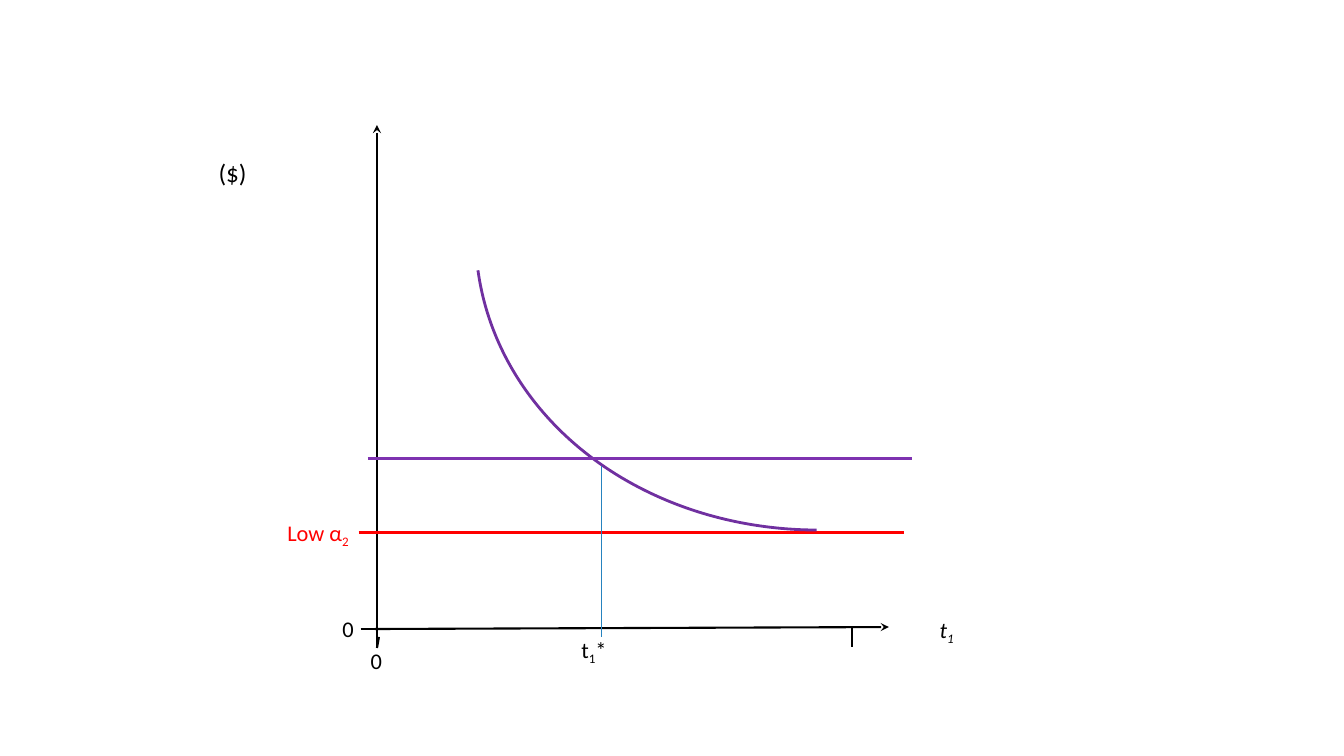
import lxml.etree
import pptx
import pptx.dml.color
import pptx.enum.shapes
import pptx.enum.text
import pptx.oxml.ns
import pptx.util
from pptx.util import Cm

BLACK = pptx.dml.color.RGBColor(0x00, 0x00, 0x00)
RED = pptx.dml.color.RGBColor(0xFF, 0x00, 0x00)
CURVE_PURPLE = pptx.dml.color.RGBColor(0x70, 0x30, 0xA0)
LEVEL_PURPLE = pptx.dml.color.RGBColor(0x7E, 0x32, 0xB0)
BLUE = pptx.dml.color.RGBColor(0x26, 0x83, 0xBF)


def add_line(slide, start, end, color, width, arrow=False):
    """Draw a straight line; an arrow points at its start."""
    line = slide.shapes.add_connector(
        pptx.enum.shapes.MSO_CONNECTOR.STRAIGHT,
        *[Cm(value) for value in start + end])
    line.line.color.rgb = color
    line.line.width = pptx.util.Pt(width)
    properties = line._element.spPr
    if arrow:
        outline = properties.find(pptx.oxml.ns.qn("a:ln"))
        lxml.etree.SubElement(outline, pptx.oxml.ns.qn("a:headEnd"), type="stealth")
    lxml.etree.SubElement(properties, pptx.oxml.ns.qn("a:effectLst"))


def add_label(slide, box, parts, size=16, color=BLACK, italic=None, align=None):
    """Write (text, baseline percent) parts in one text box."""
    frame = slide.shapes.add_textbox(*[Cm(value) for value in box]).text_frame
    frame.word_wrap = True
    frame.auto_size = pptx.enum.text.MSO_AUTO_SIZE.SHAPE_TO_FIT_TEXT
    paragraph = frame.paragraphs[0]
    paragraph.alignment = align
    font_format = {"name": "Calibri", "size": pptx.util.Pt(size), "italic": italic}
    for text, baseline in parts:
        run = paragraph.add_run()
        run.text = text
        for attribute, value in font_format.items():
            setattr(run.font, attribute, value)
        run.font.color.rgb = color
        if baseline:
            run._r.get_or_add_rPr().set("baseline", str(baseline * 1000))


presentation = pptx.Presentation()
presentation.slide_width = Cm(33.87)
presentation.slide_height = Cm(19.05)
slide = presentation.slides.add_slide(presentation.slide_layouts[6])

# Axes
add_line(slide, (9.5, 3.15), (9.5, 16.31), BLACK, 1.5, arrow=True)
add_line(slide, (22.4, 15.8), (9.45, 15.85), BLACK, 1.5, arrow=True)

# Ticks at the origin and at the end of the horizontal axis
for start, end in [((9.5, 16.33), (9.55, 16.05)),
                   ((9.09, 15.85), (9.55, 15.85)),
                   ((21.46, 15.8), (21.46, 16.31))]:
    add_line(slide, start, end, BLACK, 1.5)

# Low level, falling curve, optimum and upper level
add_line(slide, (9.04, 13.41), (22.78, 13.41), RED, 2)

curve = slide.shapes.add_shape(
    pptx.enum.shapes.MSO_SHAPE.ARC, Cm(11.96), Cm(-2.16), Cm(18.06), Cm(15.49))
curve.adjustments[0] = 168.514
curve.adjustments[1] = 0
curve.rotation = 172.2
curve.shadow.inherit = False
curve.fill.background()
curve.line.color.rgb = CURVE_PURPLE
curve.line.width = pptx.util.Pt(2)

add_line(slide, (15.16, 11.73), (15.16, 16.05), BLUE, 0.75)
add_line(slide, (9.27, 11.56), (22.99, 11.56), LEVEL_PURPLE, 2)

# Labels
add_label(slide, (5.26, 3.84, 3.48, 1.02), [("($)", 0)], size=18)
add_label(slide, (9.09, 16.18, 1.09, 0.94), [("0", 0)])
add_label(slide, (8.38, 15.37, 0.71, 0.94), [("0", 0)])
add_label(slide, (22.78, 15.39, 2.16, 0.94), [("t", 0), ("1", -25)],
          italic=True, align=pptx.enum.text.PP_ALIGN.CENTER)
add_label(slide, (6.99, 12.95, 2.21, 0.94), [("Low α", 0), ("2", -25)], color=RED)
add_label(slide, (14.4, 15.9, 1.55, 0.94), [("t", 0), ("1", -25), ("*", 0)])

presentation.save("out.pptx")
